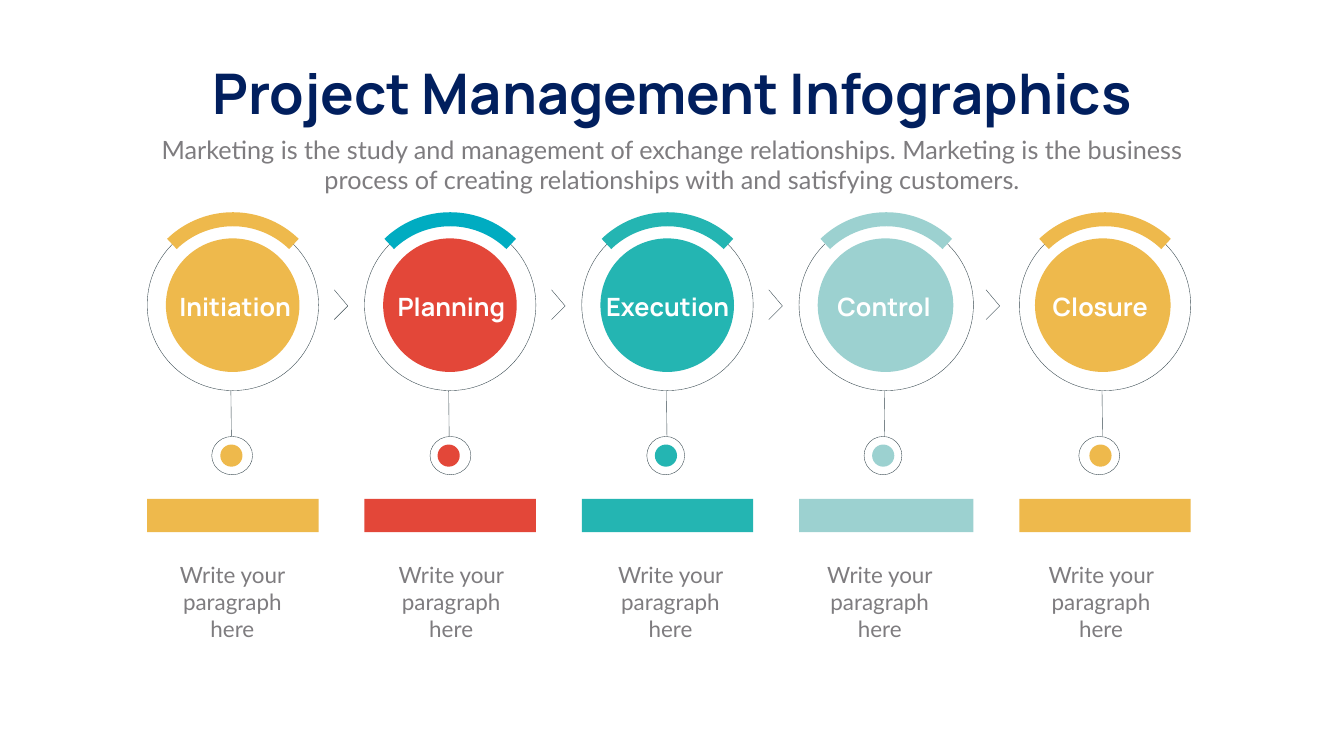
from dataclasses import dataclass
from math import asin, cos, sin

from lxml.etree import SubElement
from pptx import Presentation
from pptx.dml.color import RGBColor
from pptx.enum.shapes import MSO_CONNECTOR, MSO_SHAPE as SHAPE
from pptx.enum.text import MSO_AUTO_SIZE as AUTO_SIZE, PP_ALIGN as ALIGN
from pptx.oxml.ns import qn
from pptx.util import Inches, Pt


class Theme:
    """Colours, line widths and text formats."""
    GOLD, RED, TEAL, MINT, CYAN = "EEB94C", "E34739", "24B5B2", "9CD1D0", "00ACC1"
    OUTLINE, HAIRLINE, BAND = "37474F", 0.54, 20
    TITLE = {"size": Pt(80), "name": "Manrope", "bold": True}, "011F5E"
    SUBTITLE = {"size": Pt(36), "name": "Lato"}, "7E7C7F"
    LABEL = {"size": Pt(36), "name": "Manrope", "bold": True}, "FFFFFF"
    CAPTION = {"size": Pt(32), "name": "Lato"}, "7E7C7F"


@dataclass
class Box:
    """A rectangle in inches."""
    left: float
    top: float
    width: float
    height: float

    def lengths(self):
        """Return the four values as slide lengths."""
        return [Inches(value) for value in (self.left, self.top, self.width, self.height)]


@dataclass
class Stage:
    """One project phase with its colours and column measures."""
    name: str
    colour: str
    arc_colour: str
    ring_width: float
    core_width: float
    node_left: float
    node_width: float
    caption_left: float


STAGES = [
    Stage("Initiation", Theme.GOLD, Theme.GOLD, 3.4, 2.65, 4.2, 0.81, 3.1),
    Stage("Planning", Theme.RED, Theme.CYAN, 3.4, 2.65, 8.53, 0.81, 7.44),
    Stage("Execution", Theme.TEAL, Theme.TEAL, 3.4, 2.65, 12.83, 0.75, 11.79),
    Stage("Control", Theme.MINT, Theme.MINT, 3.46, 2.69, 17.14, 0.75, 15.94),
    Stage("Closure", Theme.GOLD, Theme.GOLD, 3.4, 2.69, 21.4, 0.81, 20.33),
]
PITCH = 4.31
RING_GAP = 0.91


def style_line(line, colour, width):
    """Give a line its colour and width."""
    line.color.rgb = RGBColor.from_string(colour)
    line.width = Pt(width)


def add_solid(slide, kind, box, colour):
    """Add a filled shape without an outline."""
    shape = slide.shapes.add_shape(kind, *box.lengths())
    shape.shadow.inherit = False
    shape.fill.solid()
    shape.fill.fore_color.rgb = RGBColor.from_string(colour)
    shape.line.fill.background()


def add_ring(slide, box):
    """Add a thin unfilled oval."""
    shape = slide.shapes.add_shape(SHAPE.OVAL, *box.lengths())
    shape.shadow.inherit = False
    shape.fill.background()
    style_line(shape.line, Theme.OUTLINE, Theme.HAIRLINE)


def add_polyline(slide, points, colour, width):
    """Add an open outline through points given in inches."""
    start, *rest = [(Inches(x), Inches(y)) for x, y in points]
    builder = slide.shapes.build_freeform(*start)
    builder.add_line_segments(rest, close=False)
    shape = builder.convert_to_shape()
    shape.shadow.inherit = False
    shape.fill.background()
    style_line(shape.line, colour, width)


def add_text(slide, box, text, style, wrap=True):
    """Add one centred paragraph in the given style."""
    frame = slide.shapes.add_textbox(*box.lengths()).text_frame
    frame.word_wrap = wrap
    frame.auto_size = AUTO_SIZE.SHAPE_TO_FIT_TEXT
    paragraph = frame.paragraphs[0]
    paragraph.text = text
    paragraph.alignment = ALIGN.CENTER
    values, colour = style
    font = paragraph.runs[0].font
    for attribute, value in values.items():
        setattr(font, attribute, value)
    font.color.rgb = RGBColor.from_string(colour)


def add_header(slide, box):
    """Place the title above the introduction."""
    add_text(slide, Box(box.left + 0.44, box.top, 19.95, 1.45),
             "Project Management Infographics", Theme.TITLE, wrap=False)
    add_text(slide, Box(box.left, box.top + 1.49, box.width, 1.31),
             "Marketing is the study and management of exchange relationships. "
             "Marketing is the business process of creating relationships with "
             "and satisfying customers.", Theme.SUBTITLE)


def add_arc(slide, box, colour):
    """Draw a thick circular arc that spans the box."""
    half = box.width / 2
    radius = (half ** 2 + box.height ** 2) / (2 * box.height)
    sweep = asin(half / radius)
    centre_x, centre_y = box.left + half, box.top + radius
    angles = [sweep * step / 20 for step in range(-20, 21)]
    points = [(centre_x + radius * sin(a), centre_y - radius * cos(a)) for a in angles]
    add_polyline(slide, points, colour, Theme.BAND)


def add_badge(slide, box, stage, core_left, label_left):
    """Place the ring, arc, coloured core and phase name."""
    add_ring(slide, box)
    add_arc(slide, Box(box.left + box.width / 2 - 1.21, box.top, 2.42, 0.49), stage.arc_colour)
    add_solid(slide, SHAPE.OVAL, Box(core_left, box.top + 0.38, stage.core_width, 2.65),
              stage.colour)
    add_text(slide, Box(label_left, box.top + 1.38, 3.71, 0.71), stage.name, Theme.LABEL)


def add_node(slide, box, stage, stem_x, dot_left):
    """Place the stem and the ringed dot at its foot."""
    ends = [Inches(v) for v in (stem_x, box.top - 0.91, stem_x + 0.01, box.top)]
    stem = slide.shapes.add_connector(MSO_CONNECTOR.STRAIGHT, *ends)
    SubElement(stem.line._get_or_add_ln().getparent(), qn("a:effectLst"))
    style_line(stem.line, Theme.OUTLINE, Theme.HAIRLINE)
    add_ring(slide, box)
    add_solid(slide, SHAPE.OVAL, Box(dot_left, box.top + 0.16, 0.44, 0.44), stage.colour)


def add_chevron(slide, box):
    """Draw an open arrow pointing right."""
    bottom = box.top + box.height
    points = [(box.left, box.top), (box.left + box.width, box.top + 0.32), (box.left, bottom)]
    add_polyline(slide, points, Theme.OUTLINE, Theme.HAIRLINE)


def add_process(slide, box):
    """Place the row of phases with chevrons between them."""
    left = box.left
    for index, stage in enumerate(STAGES):
        shift = index * PITCH
        add_badge(slide, Box(left, box.top, stage.ring_width, 3.4), stage,
                  box.left + 0.37 + shift, box.left - 0.11 + index * 4.29)
        add_node(slide, Box(stage.node_left, box.top + 4.31, stage.node_width, 0.76), stage,
                 box.left + 1.66 + index * 4.32, box.left + 1.45 + shift)
        add_solid(slide, SHAPE.RECTANGLE,
                  Box(left, box.top + 5.55, stage.ring_width, 0.66), stage.colour)
        add_text(slide, Box(stage.caption_left, box.top + 6.73, 3.02, 1.72),
                 "Write your paragraph here", Theme.CAPTION)
        if index < len(STAGES) - 1:
            add_chevron(slide, Box(box.left + 3.71 + shift, box.top + 1.4, 0.27, 0.59))
        left += stage.ring_width + RING_GAP


def main():
    """Build and save the presentation."""
    presentation = Presentation()
    presentation.slide_width, presentation.slide_height = Inches(26.66), Inches(15)
    slide = presentation.slides.add_slide(presentation.slide_layouts[6])
    add_header(slide, Box(2.92, 1.12, 20.82, 2.8))
    add_process(slide, Box(2.92, 4.35, 20.7, 8.45))
    presentation.save("out.pptx")


if __name__ == "__main__":
    main()
